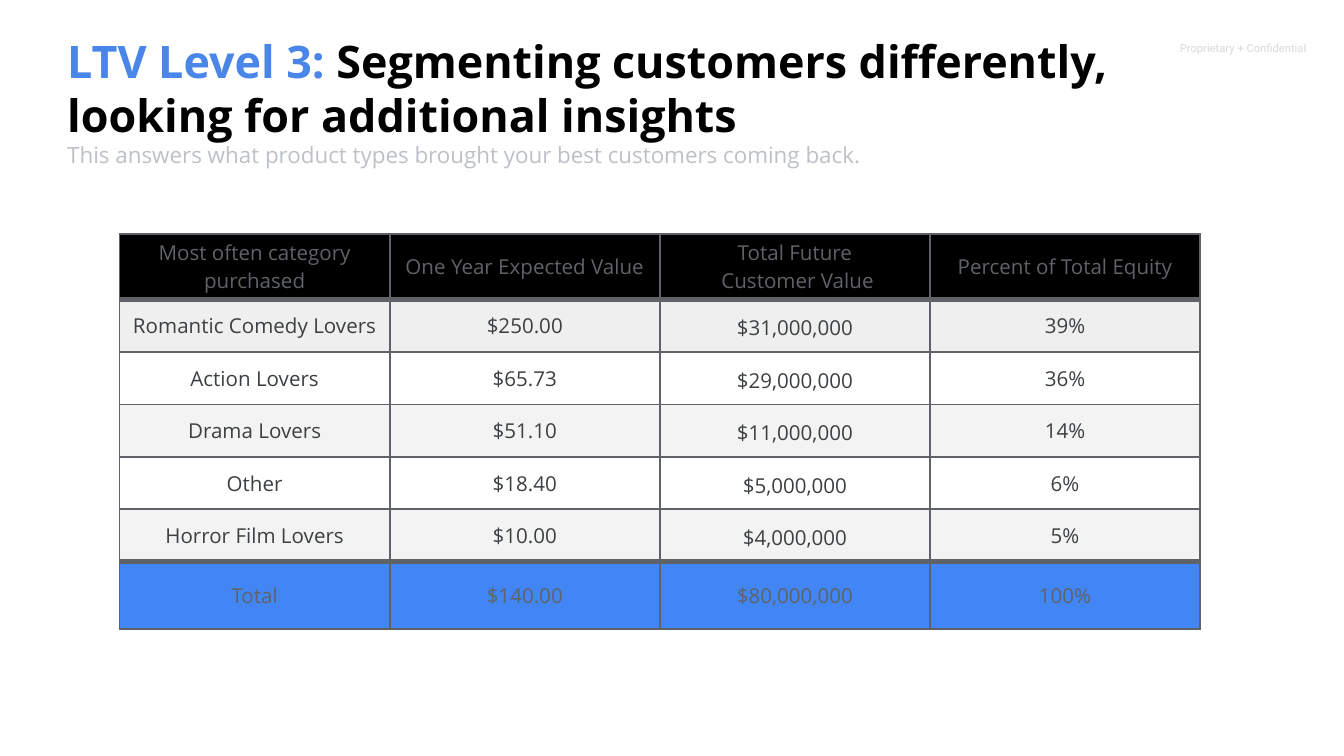
from pptx import Presentation
from pptx.dml.color import RGBColor
from pptx.enum.text import MSO_ANCHOR, MSO_AUTO_SIZE, PP_ALIGN
from pptx.oxml import parse_xml
from pptx.oxml.ns import nsdecls
from pptx.util import Inches, Pt

CENTER, LEFT = PP_ALIGN.CENTER, PP_ALIGN.LEFT
MIDDLE, TOP = MSO_ANCHOR.MIDDLE, MSO_ANCHOR.TOP
NO_AUTOFIT = MSO_AUTO_SIZE.NONE
TITLE_ONLY = 5

GRAY, DARK, BLACK, WHITE = "5F6368", "3C4043", "000000", "FFFFFF"
TOTAL_BLUE, TITLE_BLUE = "4285F4", "4A86E8"
BODY_FILLS = ["EFEFEF", WHITE, "F3F3F3", WHITE, "F3F3F3"]

SEGMENTS = [
    ["Most often category purchased", "One Year Expected Value",
     "Total Future\n Customer Value", "Percent of Total Equity"],
    ["Romantic Comedy Lovers", "$250.00", "$31,000,000", "39%"],
    ["Action Lovers", "$65.73", "$29,000,000", "36%"],
    ["Drama Lovers", "$51.10", "$11,000,000", "14%"],
    ["Other", "$18.40", "$5,000,000", "6%"],
    ["Horror Film Lovers", "$10.00", "$4,000,000", "5%"],
    ["Total", "$140.00", "$80,000,000", "100%"],
]


def rgb(value):
    return RGBColor.from_string(value)


def set_attributes(target, values):
    for name, value in values.items():
        setattr(target, name, value)


def set_margins(target, horizontal, vertical):
    set_attributes(target, {
        "margin_left": Inches(horizontal), "margin_right": Inches(horizontal),
        "margin_top": Inches(vertical), "margin_bottom": Inches(vertical),
    })


def format_font(font, size, color, bold=False, name="Open Sans"):
    set_attributes(font, {"name": name, "size": Pt(size), "bold": bold})
    font.color.rgb = rgb(color)


def add_run(paragraph, text, *font_format, **options):
    run = paragraph.add_run()
    run.text = text
    format_font(run.font, *font_format, **options)


def add_heading(slide, left, top, width, height):
    title = slide.shapes.title
    set_attributes(title, {
        "left": Inches(left), "top": Inches(top),
        "width": Inches(width), "height": Inches(height),
    })
    frame = title.text_frame
    set_attributes(frame, {"word_wrap": True, "auto_size": NO_AUTOFIT,
                           "vertical_anchor": TOP})
    set_margins(frame, 0.04, 0.02)
    headline, subtitle = frame.paragraphs[0], frame.add_paragraph()
    for paragraph in (headline, subtitle):
        set_attributes(paragraph, {"alignment": LEFT, "line_spacing": 1.0})
    add_run(headline, "LTV Level 3:", 24, TITLE_BLUE, bold=True)
    add_run(headline, " Segmenting customers differently, "
            "looking for additional insights", 24, BLACK, bold=True)
    add_run(subtitle, "This answers what product types brought your best "
            "customers coming back.", 12, "BDC1C6")


def add_confidential_label(slide, left, top, width, height):
    label = slide.shapes.add_textbox(
        Inches(left), Inches(top), Inches(width), Inches(height))
    frame = label.text_frame
    frame.word_wrap = True
    set_margins(frame, 0.1, 0.1)
    frame.margin_top = Inches(0.14)
    add_run(frame.paragraphs[0], "Proprietary + Confidential", 6, "D9D9D9",
            name="Roboto")


def set_borders(cell, widths):
    """Draw the borders; the border elements must come before the fill."""
    properties = cell._tc.get_or_add_tcPr()
    for index, (side, width) in enumerate(widths.items()):
        properties.insert(index, parse_xml(
            f'<a:ln{side} {nsdecls("a")} w="{Pt(width)}"><a:solidFill>'
            f'<a:srgbClr val="{GRAY}"/></a:solidFill></a:ln{side}>'))


def add_segment_table(slide, left, top, width, row_heights):
    rows, columns = len(SEGMENTS), len(SEGMENTS[0])
    table = slide.shapes.add_table(
        rows, columns, Inches(left), Inches(top),
        Inches(width), Inches(sum(row_heights))).table
    for column in table.columns:
        column.width = Inches(width / columns)
    fills = [BLACK, *BODY_FILLS, TOTAL_BLUE]
    last = rows - 1
    for r, values in enumerate(SEGMENTS):
        table.rows[r].height = Inches(row_heights[r])
        is_body = 0 < r < last
        # Heavy rules set off the header and the total
        widths = {"L": 1, "R": 1,
                  "T": 3 if r in (1, last) else 1,
                  "B": 3 if r in (0, last - 1) else 1}
        for c, text in enumerate(values):
            cell = table.cell(r, c)
            is_future_value = is_body and c == 2
            cell.vertical_anchor = MIDDLE
            margin = 0.01 if is_future_value else 0.02
            set_margins(cell, margin, margin)
            cell.fill.solid()
            cell.fill.fore_color.rgb = rgb(fills[r])
            set_borders(cell, widths)
            cell.text_frame.text = text
            for paragraph in cell.text_frame.paragraphs:
                paragraph.alignment = CENTER
                if is_future_value:
                    paragraph.line_spacing = 1.15
                for run in paragraph.runs:
                    format_font(run.font, 11, DARK if is_body else GRAY)


def main():
    presentation = Presentation()
    presentation.slide_width = Inches(10)
    presentation.slide_height = Inches(10 * 9 / 16)
    slide = presentation.slides.add_slide(
        presentation.slide_layouts[TITLE_ONLY])
    add_confidential_label(slide, 8.68, 0.24, 1.32, 0.33)
    add_segment_table(slide, 0.89, 1.74, 8.04, [0.49] + [0.39] * 5 + [0.5])
    add_heading(slide, 0.46, 0.23, 9.09, 0.25)
    presentation.save("out.pptx")


if __name__ == "__main__":
    main()
